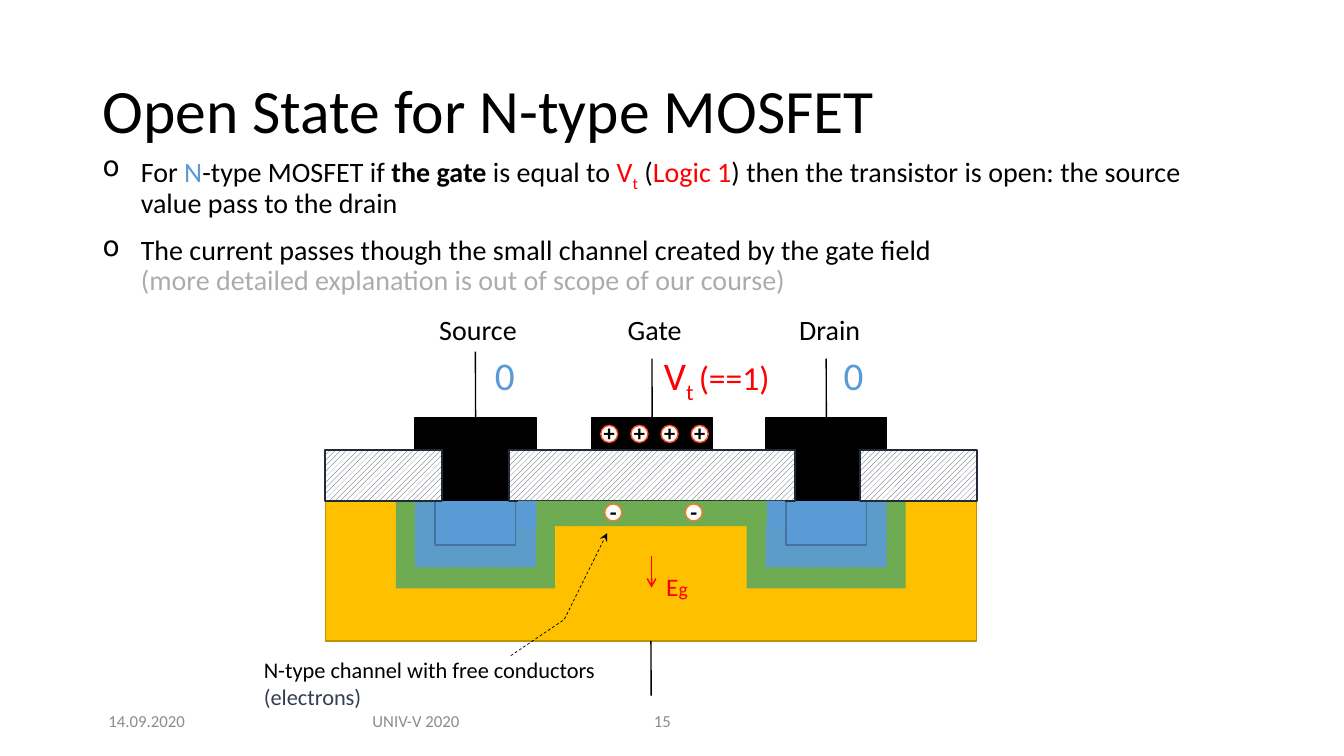
from lxml.etree import SubElement
from pptx import Presentation
from pptx.dml.color import RGBColor
from pptx.enum.dml import MSO_LINE, MSO_PATTERN
from pptx.enum.shapes import MSO_CONNECTOR, MSO_SHAPE
from pptx.enum.text import MSO_ANCHOR, PP_ALIGN
from pptx.oxml.ns import qn
from pptx.util import Cm, Pt

COLORS = {
    "black": "000000", "white": "FFFFFF", "red": "FF0000", "blue": "5B9BD5",
    "green": "70AD47", "gold": "FFC000", "gold_edge": "BF9000",
    "blue_edge": "43739E", "slate": "333F50", "oxide_edge": "222A35",
    "hole_edge": "FF4F25", "electron_edge": "ED7D31", "muted": "AFABAB",
    "footer": "8C8C8C",
}
N_DOPED = (MSO_PATTERN.LARGE_CONFETTI, "blue", "green")
N_CORE = (MSO_PATTERN.LARGE_CONFETTI, "green", "blue")
OXIDE = (MSO_PATTERN.WIDE_UPWARD_DIAGONAL, "slate", "white")
SURFACE = 12.62
SOURCE_X, GATE_X, DRAIN_X = 11.98, 16.43, 20.82
MIDDLE = {"word_wrap": True, "vertical_anchor": MSO_ANCHOR.MIDDLE}
CENTER = {"alignment": PP_ALIGN.CENTER}


def rgb(name):
    """Return the named colour."""
    return RGBColor.from_string(COLORS[name])


def apply(obj, fmt):
    """Set attributes of an object from a dict."""
    for key, value in fmt.items():
        setattr(obj, key, value)


def write(p, runs, size):
    """Add (text, colour, extras) runs to a paragraph; None breaks the line."""
    for run in runs:
        if run is None:
            p.add_line_break()
            continue
        text, color, *extra = run
        fmt = {"name": "Calibri", "size": Pt(size), **(extra[0] if extra else {})}
        baseline = fmt.pop("baseline", None)
        r = p.add_run()
        r.text = text
        apply(r.font, fmt)
        r.font.color.rgb = rgb(color)
        if baseline:
            r._r.get_or_add_rPr().set("baseline", str(baseline))


def add_text(shapes, box, paragraphs, size, frame=None, para=None):
    """Add a text box and return its text frame."""
    tf = shapes.add_textbox(*map(Cm, box)).text_frame
    apply(tf, frame or {"word_wrap": False})
    for i, runs in enumerate(paragraphs):
        p = tf.add_paragraph() if i else tf.paragraphs[0]
        apply(p, para or {})
        write(p, runs, size)
    return tf


def add_bullets(shapes, box, paragraphs, size):
    """Add a list with hanging bullets."""
    tf = add_text(shapes, box, paragraphs, size, {"word_wrap": True},
                  {"line_spacing": 0.9, "space_before": Pt(12)})
    tf.paragraphs[0].space_before = Pt(10)
    for p in tf.paragraphs:
        pPr = p._p.get_or_add_pPr()
        apply_indent = {"marL": Cm(0.96), "indent": -Cm(0.96)}
        for key, value in apply_indent.items():
            pPr.set(key, str(int(value)))
        SubElement(pPr, qn("a:buChar")).set("char", "o")


def add_box(shapes, box, fill, edge=None, width=1, kind=MSO_SHAPE.RECTANGLE):
    """Add a shape with a plain, patterned or empty fill."""
    sp = shapes.add_shape(kind, *map(Cm, box))
    sp.shadow.inherit = False
    if fill is None:
        sp.fill.background()
    elif isinstance(fill, tuple):
        pattern, fore, back = fill
        sp.fill.patterned()
        sp.fill.pattern = pattern
        sp.fill.fore_color.rgb = rgb(fore)
        sp.fill.back_color.rgb = rgb(back)
    else:
        sp.fill.solid()
        sp.fill.fore_color.rgb = rgb(fill)
    if edge:
        sp.line.color.rgb = rgb(edge)
        sp.line.width = Pt(width)
    else:
        sp.line.fill.background()
    return sp


def add_arrowhead(line, kind):
    """Put an arrowhead at the end of a line."""
    SubElement(line._get_or_add_ln(), qn("a:tailEnd")).set("type", kind)


def add_line(shapes, x, top, bottom, color="black", head=None):
    """Add a vertical connector."""
    c = shapes.add_connector(MSO_CONNECTOR.STRAIGHT, Cm(x), Cm(top), Cm(x), Cm(bottom))
    c.line.color.rgb = rgb(color)
    c.line.width = Pt(1)
    if head:
        add_arrowhead(c.line, head)
    SubElement(c._element.spPr, qn("a:effectLst"))
    return c


def add_charge(shapes, x, y, sign, edge):
    """Add a round charge carrier with its sign."""
    sp = add_box(shapes, (x, y, 0.43, 0.43), "white", edge, kind=MSO_SHAPE.OVAL)
    tf = sp.text_frame
    apply(tf, {"word_wrap": False, "vertical_anchor": MSO_ANCHOR.MIDDLE,
               "margin_left": 0, "margin_right": 0, "margin_top": 0,
               "margin_bottom": Cm(0.06)})
    p = tf.paragraphs[0]
    apply(p, CENTER)
    write(p, [(sign, "black", {"bold": True})], 16)


def add_well(shapes, x):
    """Add the nested doped regions below a contact."""
    for w, h, fill, edge in ((4.01, 2.21, N_DOPED, None), (3.05, 1.68, N_CORE, None),
                             (2.03, 1.12, "blue", "blue_edge")):
        add_box(shapes, (x - w / 2, SURFACE, w, h), fill, edge)


def add_electrode(shapes, x, lead_top):
    """Add a metal contact with its lead."""
    sp = add_box(shapes, (x - 1.52, 10.52, 3.05, 2.1), "black", "black")
    add_line(shapes, x, 10.52, lead_top).begin_connect(sp, 0)


def add_transistor(shapes):
    """Add the cross-section of the transistor."""
    substrate = add_box(shapes, (8.2, SURFACE, 16.41, 3.53), "gold", "gold_edge")
    add_line(shapes, 16.41, 16.15, 17.53).begin_connect(substrate, 2)
    for x in (DRAIN_X, SOURCE_X):
        add_well(shapes, x)
    for x, lead_top in ((GATE_X, 9.04), (SOURCE_X, 8.86), (DRAIN_X, 9.04)):
        add_electrode(shapes, x, lead_top)
    for x, w in ((8.2, 2.95), (21.67, 2.95), (12.83, 7.21)):
        add_box(shapes, (x, 11.33, w, 1.29), OXIDE, "oxide_edge", 1.5)
    for i in range(4):
        add_charge(shapes, 15.14 + 0.76 * i, 10.72, "+", "hole_edge")
    channel = shapes.add_group_shape().shapes
    add_box(channel, (13.06, SURFACE, 6.63, 0.64), N_DOPED)
    for x in (19.33, 13.06):
        add_box(channel, (x, SURFACE, 0.46, 0.66), "blue")
    for x in (15.24, 17.27):
        add_charge(shapes, x, 12.7, "-", "electron_edge")
    field = shapes.add_group_shape().shapes
    add_line(field, 16.42, 14, 14.81, "red", "arrow")
    add_text(field, (16.54, 14.27, 1.07, 1.02),
             [[("E", "red"), ("g", "red", {"size": Pt(14)})]], 18)


def add_callout(shapes):
    """Add the note that points at the channel."""
    sp = add_box(shapes, (6.4, 16.41, 8.99, 1.14), None, "black", 0.5,
                 MSO_SHAPE.LINE_CALLOUT_2_NO_BORDER)
    for i, value in enumerate((0.1, 0.72, -0.7, 0.87, -2.61, 0.99)):
        sp.adjustments[i] = value
    sp.line.dash_style = MSO_LINE.DASH
    add_arrowhead(sp.line, "stealth")
    tf = sp.text_frame
    apply(tf, {"word_wrap": True, "vertical_anchor": MSO_ANCHOR.TOP})
    p = tf.paragraphs[0]
    p.alignment = PP_ALIGN.LEFT
    write(p, [("N-type channel with free conductors ", "black"),
              ("(electrons)", "slate")], 16)


def main():
    """Build the slide and save it."""
    prs = Presentation()
    apply(prs, {"slide_width": Cm(33.87), "slide_height": Cm(19.05)})
    shapes = prs.slides.add_slide(prs.slide_layouts[6]).shapes
    sub = {"baseline": -25000}
    add_text(shapes, (2.34, 1.02, 29.21, 3.68),
             [[("Open State for N-type MOSFET", "black")]], 44, MIDDLE,
             {"line_spacing": 0.9})
    add_bullets(shapes, (2.34, 3.78, 28.9, 2.77), [
        [("For ", "black"), ("N", "blue"), ("-type MOSFET if ", "black"),
         ("the gate ", "black", {"bold": True}), ("is equal to ", "black"),
         ("V", "red"), ("t", "red", sub), (" (", "black"), ("Logic 1", "red"),
         (") then the transistor is open: the source value pass to the drain", "black")],
        [("The current passes though the small channel created by the gate field ", "black"),
         None, ("(more detailed explanation is out of scope of our course)", "muted")],
    ], 20)
    add_transistor(shapes)
    for name, x, w in (("Source", 10.82, 2.46), ("Gate", 15.57, 1.91), ("Drain", 19.89, 2.08)):
        add_text(shapes, (x, 7.75, w, 1.12), [[(name, "black")]], 20)
    add_text(shapes, (16.48, 8.74, 3.56, 1.45),
             [[("V", "red"), ("t ", "red", sub), ("(==1)", "red", {"size": Pt(24)})]], 28,
             {"word_wrap": True})
    for x in (12.22, 21.01):
        add_text(shapes, (x, 8.74, 1.07, 1.45), [[("0", "blue")]], 28)
    add_callout(shapes)
    for text, x, w, para in (("14.09.2020", 2.34, 2.72, CENTER),
                             ("UNIV-V 2020", 8.48, 4.01, CENTER), ("15", 16.23, 2.01, {})):
        add_text(shapes, (x, 17.65, w, 1.02), [[(text, "footer")]], 12, MIDDLE, para)
    prs.save("out.pptx")


if __name__ == "__main__":
    main()
